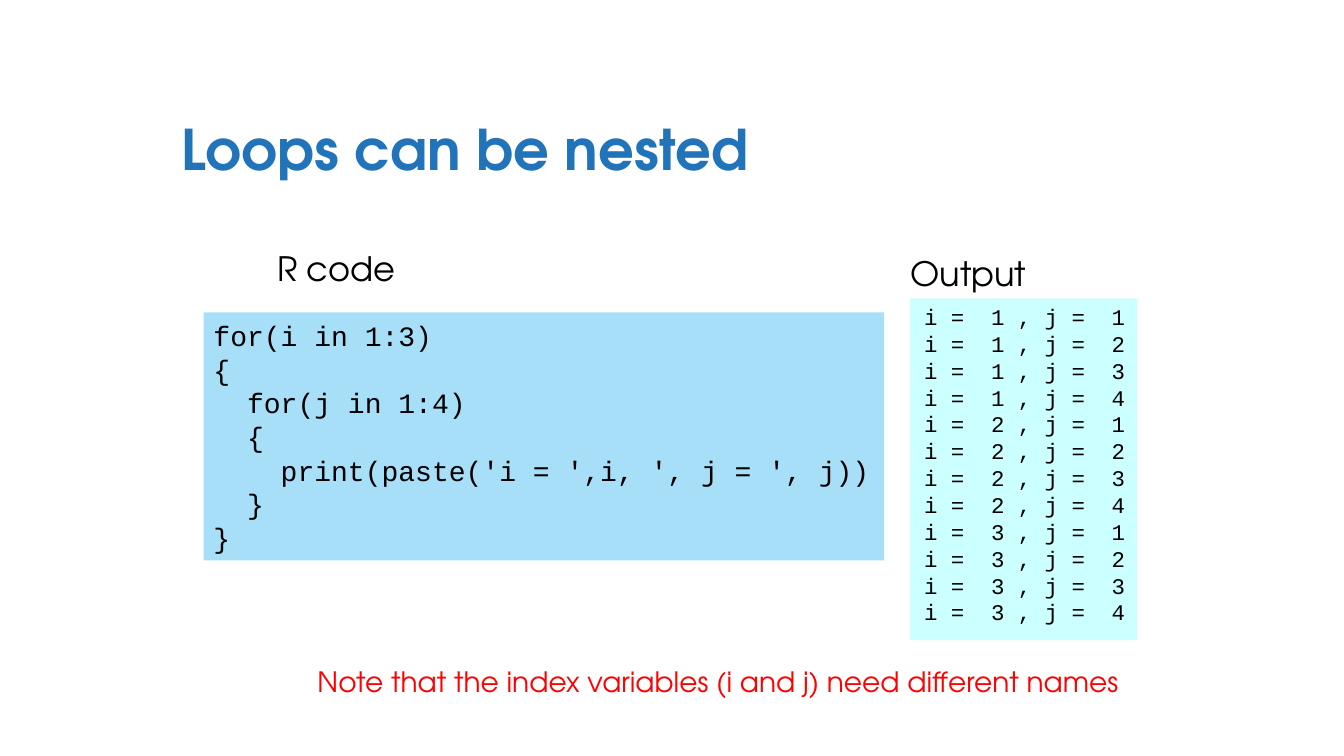
from itertools import product

from pptx import Presentation
from pptx.dml.color import RGBColor
from pptx.enum.shapes import MSO_SHAPE
from pptx.enum.text import MSO_ANCHOR, PP_ALIGN
from pptx.util import Cm, Pt

BLACK = RGBColor(0x00, 0x00, 0x00)
RED = RGBColor(0xFF, 0x00, 0x00)
TITLE_BLUE = RGBColor(0x21, 0x73, 0xBA)
CODE_BLUE = RGBColor(0xA7, 0xDE, 0xF8)
OUTPUT_CYAN = RGBColor(0xCC, 0xFF, 0xFF)

SANS = "TeX Gyre Adventor"
MONO = "Courier New"

title = "Loops can be nested"
code = [
    "for(i in 1:3)",
    "{",
    "  for(j in 1:4)",
    "  {",
    "    print(paste('i = ',i, ', j = ', j))",
    "  }",
    "}",
]
output = [f"i =  {i} , j =  {j}" for i, j in product(range(1, 4), range(1, 5))]
note = "Note that the index variables (i and j) need different names"
headings = [
    ("Output", (22.68, 6.25, 3.45, 1.27)),
    ("R code", (6.71, 6.12, 3.53, 1.27)),
]

presentation = Presentation()
presentation.slide_width = Cm(33.87)
presentation.slide_height = Cm(19.05)
slide = presentation.slides.add_slide(presentation.slide_layouts[6])


def add_panel(box, color):
    panel = slide.shapes.add_shape(MSO_SHAPE.RECTANGLE, *map(Cm, box))
    panel.shadow.inherit = False
    panel.fill.solid()
    panel.fill.fore_color.rgb = color
    panel.line.fill.background()
    return panel


def add_label(box):
    return slide.shapes.add_textbox(*map(Cm, box))


def write(holder, lines, font, size, color=BLACK, bold=False,
          align=PP_ALIGN.LEFT, wrap=True):
    frame = holder.text_frame
    frame.text = "\n".join(lines)
    frame.word_wrap = wrap
    frame.vertical_anchor = MSO_ANCHOR.MIDDLE
    for paragraph in frame.paragraphs:
        paragraph.alignment = align
        for run in paragraph.runs:
            run.font.name = font
            run.font.size = Pt(size)
            run.font.bold = bold
            run.font.color.rgb = color


write(add_label((4.32, 2.13, 24.99, 3.18)), [title], SANS, 40, TITLE_BLUE, bold=True)
write(add_panel((5.13, 7.87, 17.15, 6.25), CODE_BLUE), code, MONO, 20)
add_panel((22.94, 7.52, 5.72, 8.61), OUTPUT_CYAN)
write(add_label((23.04, 7.47, 5.72, 8.46)), output, MONO, 16)
for heading, box in headings:
    write(add_label(box), [heading], SANS, 24, align=PP_ALIGN.CENTER, wrap=False)
write(add_label((7.75, 16.61, 20.98, 1.12)), [note], SANS, 20, RED, wrap=False)

presentation.save("out.pptx")
